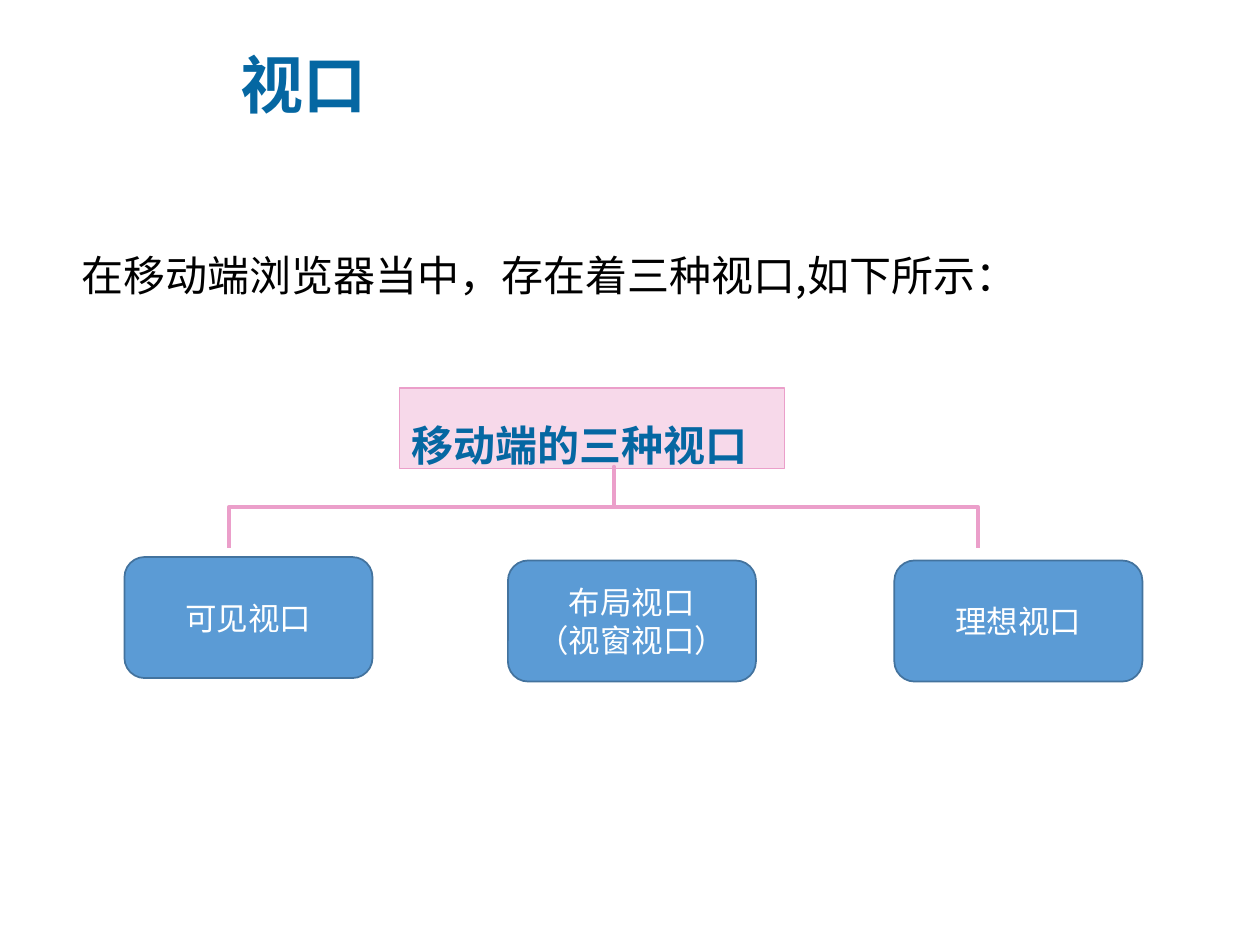
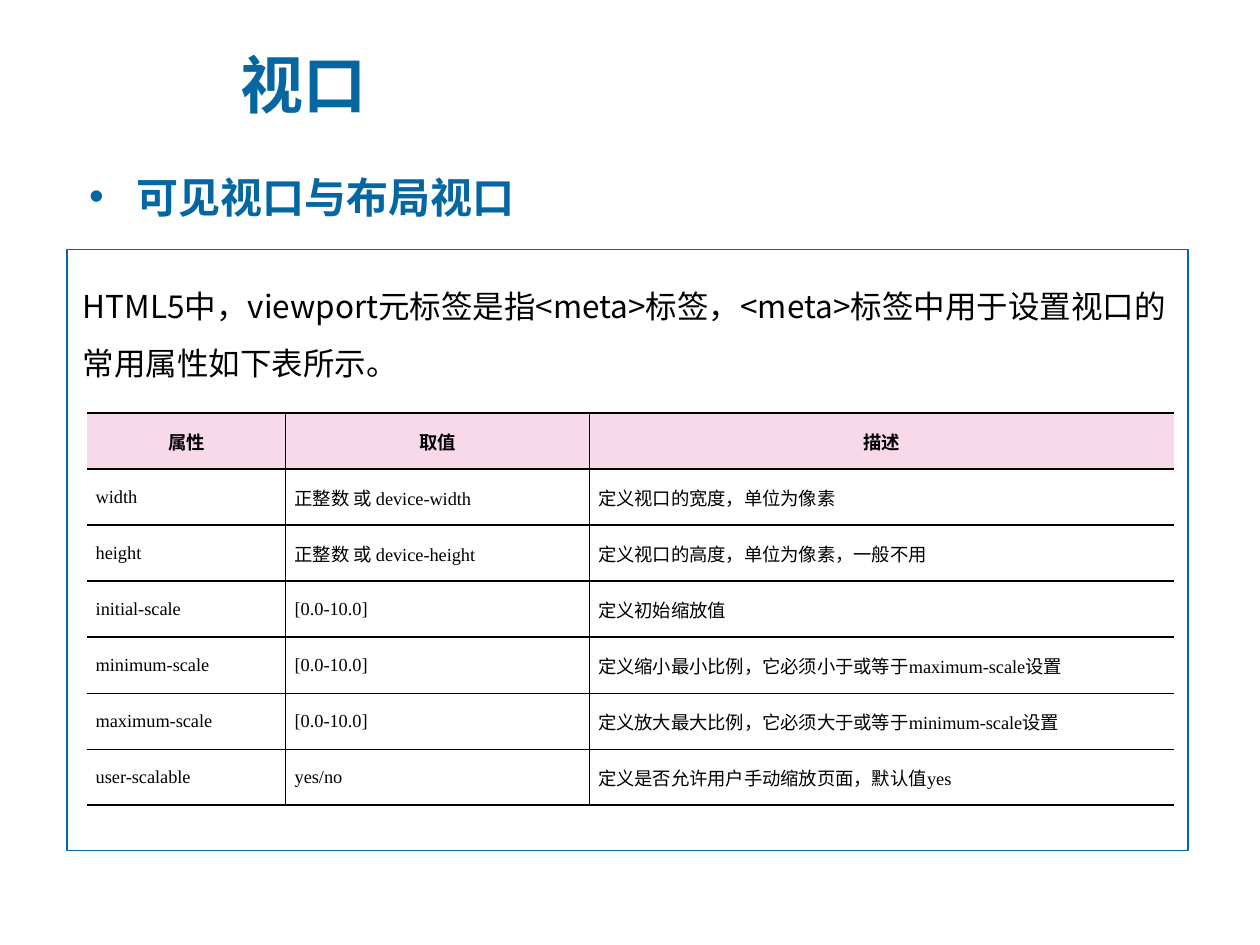
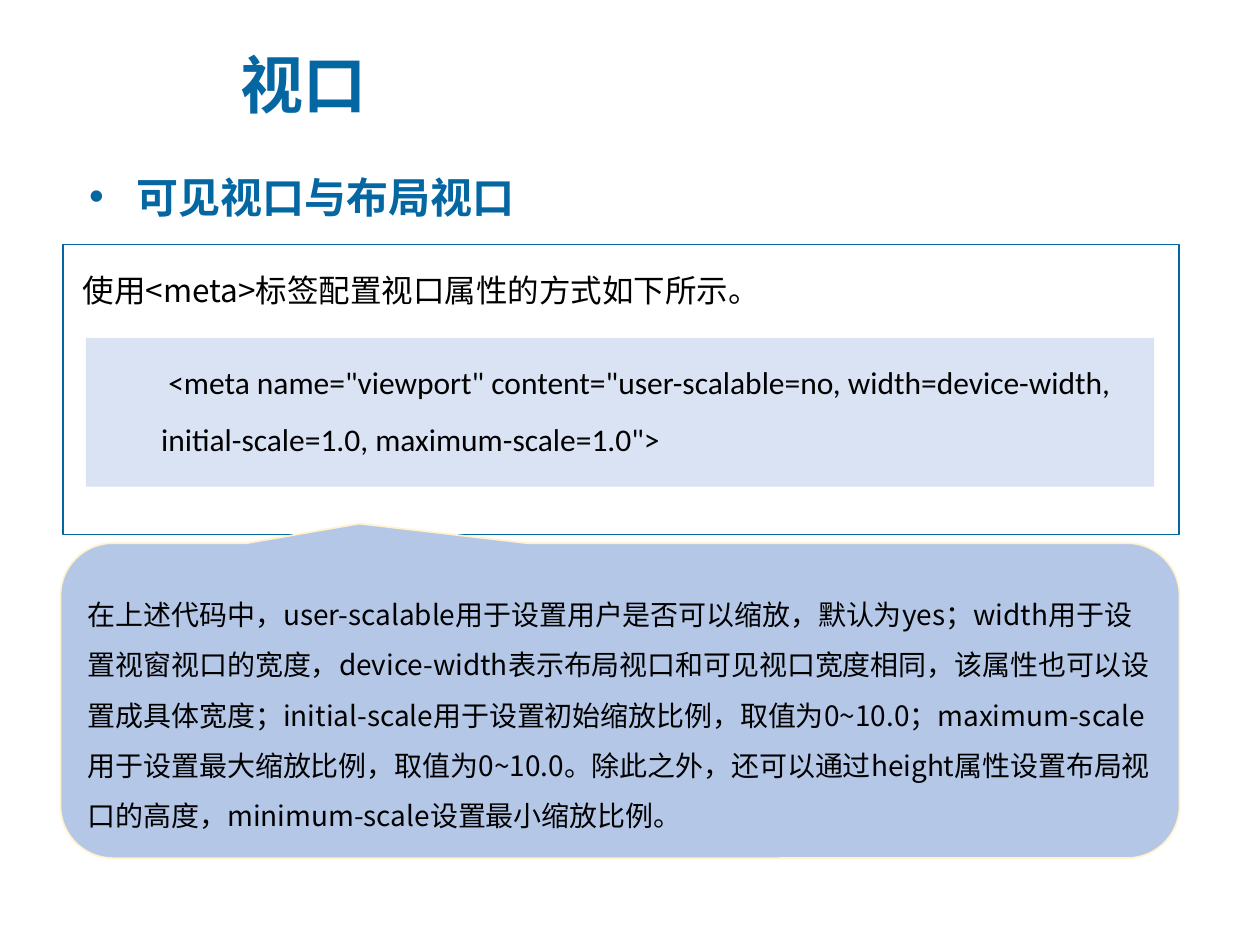
from lxml import etree
from pptx import Presentation
from pptx.dml.color import RGBColor as Rgb
from pptx.enum.shapes import MSO_SHAPE as Kind
from pptx.enum.text import MSO_ANCHOR as Anchor, PP_ALIGN as Align
from pptx.oxml import parse_xml
from pptx.oxml.ns import nsdecls, qn
from pptx.util import Cm, Pt

COLORS = {
    "blue": "0567A2", "pink": "F7D9EA", "rose": "EB9FCA", "black": "000000",
    "white": "FFFFFF", "node": "5B9BD5", "node_edge": "43739E",
    "code": "DAE3F3", "callout": "B4C7E7", "cream": "FFF2CC",
}
CJK = "Noto Sans CJK SC"
TITLE = {"name": CJK, "size": Pt(36), "bold": True}
HEADING = {"name": "Calibri", "size": Pt(24), "bold": True}
LEAD = {"name": CJK, "size": Pt(24)}
BODY = {"name": CJK, "size": Pt(18)}
NOTE = {"name": CJK, "size": Pt(16)}
LABEL = {"name": "Calibri", "size": Pt(18)}
CELL = {"name": "Times New Roman", "size": Pt(10.5)}


def add_box(page, place, kind=None, fill=None, line=None, width=0.75):
    """Add a text box, or a preset shape when a kind is given."""
    place = [Cm(length) for length in place]
    if kind is None:
        return page.shapes.add_textbox(*place)
    box = page.shapes.add_shape(kind, *place)
    box.shadow.inherit = False
    for part, color in ((box.fill, fill), (box.line.fill, line)):
        if color:
            part.solid()
            part.fore_color.rgb = Rgb.from_string(COLORS[color])
        else:
            part.background()
    if line:
        box.line.width = Pt(width)
    return box


def write(frame, lines, font, color="black", align=Align.LEFT, spacing=1.0, anchor=Anchor.TOP):
    """Fill a text frame with one paragraph per line."""
    frame.word_wrap = True
    frame.vertical_anchor = anchor
    for number, line in enumerate(lines):
        para = frame.add_paragraph() if number else frame.paragraphs[0]
        para.alignment = align
        para.line_spacing = spacing
        span = para.add_run()
        span.text = line
        for name, value in font.items():
            setattr(span.font, name, value)
        span.font.color.rgb = Rgb.from_string(COLORS[color])
        etree.SubElement(span.font._element, qn("a:ea"), typeface=CJK)


deck = Presentation()
deck.slide_width, deck.slide_height = Cm(25.4), Cm(19.05)

# Shared title, and the bulleted heading of the later pages
pages = []
for heading in (None, "可见视口与布局视口", "可见视口与布局视口"):
    page = deck.slides.add_slide(deck.slide_layouts[6])
    pages.append(page)
    box = add_box(page, (4.6, 0.69, 20.78, 2))
    write(box.text_frame, ["视口"], TITLE, "blue", anchor=Anchor.MIDDLE)
    if heading:
        box = add_box(page, (1.55, 2.82, 9.22, 1.8))
        write(box.text_frame, [heading], HEADING, "blue", spacing=1.5)
        props = box.text_frame.paragraphs[0]._p.get_or_add_pPr()
        props.set("marL", str(Cm(0.95)))
        props.set("indent", str(-Cm(0.95)))
        etree.SubElement(props, qn("a:buFont"), typeface="Arial")
        etree.SubElement(props, qn("a:buChar"), char="•")
tree_page, table_page, code_page = pages

# Page 1: the three viewports
box = add_box(tree_page, (1.4, 4.39, 19.48, 1.8))
write(box.text_frame, ["在移动端浏览器当中，存在着三种视口,如下所示："], LEAD, spacing=1.5)
root = add_box(tree_page, (8.05, 7.82, 7.77, 1.63), Kind.RECTANGLE, "pink", "rose")
write(root.text_frame, ["移动端的三种视口"], HEADING, "blue", spacing=1.5)

for left, top, lines in (
    (2.51, 11.23, ["可见视口"]),
    (10.24, 11.3, ["布局视口", "（视窗视口）"]),
    (18.03, 11.3, ["理想视口"]),
):
    node = add_box(tree_page, (left, top, 5, 2.44), Kind.ROUNDED_RECTANGLE,
                   "node", "node_edge", 1)
    write(node.text_frame, lines, LABEL, "white", Align.CENTER, anchor=Anchor.MIDDLE)

brace = add_box(tree_page, (11.35, 2.67, 1.63, 15.11), Kind.LEFT_BRACE, line="rose", width=2.25)
brace.rotation = 90
brace.adjustments[0], brace.adjustments[1] = 0, 0.486

# Frames behind the content of pages 2 and 3
for page, place in (
    (table_page, (1.35, 5.03, 22.6, 12.12)),
    (code_page, (1.27, 4.93, 22.5, 5.84)),
):
    panel = add_box(page, place, Kind.RECTANGLE, "white", "blue")
    tint = panel._element.spPr.find(qn("a:solidFill"))[0]
    etree.SubElement(tint, qn("a:alpha"), val="90000")

# Page 2: table of viewport attributes
box = add_box(table_page, (1.42, 5.28, 22.56, 2.57))
write(box.text_frame,
      ["HTML5中，viewport元标签是指<meta>标签，<meta>标签中用于设置视口的常用属性如下表所示。"],
      BODY, spacing=1.5)
rows = [
    ("属性", "取值", "描述"),
    ("width", "正整数 或 device-width", "定义视口的宽度，单位为像素"),
    ("height", "正整数 或 device-height", "定义视口的高度，单位为像素，一般不用"),
    ("initial-scale", "[0.0-10.0]", "定义初始缩放值"),
    ("minimum-scale", "[0.0-10.0]", "定义缩小最小比例，它必须小于或等于maximum-scale设置"),
    ("maximum-scale", "[0.0-10.0]", "定义放大最大比例，它必须大于或等于minimum-scale设置"),
    ("user-scalable", "yes/no", "定义是否允许用户手动缩放页面，默认值yes"),
]
widths = (4.01, 6.12, 11.79)
row_height = 1.13
last_row, last_column = len(rows) - 1, len(widths) - 1
table = table_page.shapes.add_table(
    len(rows), len(widths), Cm(1.75), Cm(8.33),
    Cm(sum(widths)), Cm(row_height * len(rows))).table
table.first_row = table.horz_banding = False
for column, width in zip(table.columns, widths):
    column.width = Cm(width)
margins = {"margin_left": Cm(0.18), "margin_right": Cm(0.18), "margin_top": 0, "margin_bottom": 0}

for r, row in enumerate(rows):
    table.rows[r].height = Cm(row_height)
    for c, words in enumerate(row):
        cell = table.cell(r, c)
        for name, value in margins.items():
            setattr(cell, name, value)
        cell.vertical_anchor = Anchor.MIDDLE
        write(cell.text_frame, [words], {**CELL, "bold": r == 0},
              align=Align.LEFT if r else Align.CENTER)
        # The outer sides stay open; the top and bottom rules are heavier
        borders = {
            "lnL": 1 if c else 0,
            "lnR": 1 if c < last_column else 0,
            "lnT": 1 if r else 1.5,
            "lnB": 1 if r < last_row else 1.5,
        }
        for tag, weight in borders.items():
            paint = (f'<a:solidFill><a:srgbClr val="{COLORS["black"]}"/></a:solidFill>'
                     if weight else "<a:noFill/>")
            cell._tc.get_or_add_tcPr().append(parse_xml(
                f'<a:{tag} {nsdecls("a")} w="{Pt(weight)}">{paint}</a:{tag}>'))
        if r == 0:
            cell.fill.solid()
            cell.fill.fore_color.rgb = Rgb.from_string(COLORS["pink"])
        else:
            cell.fill.background()

# Page 3: code sample and its explanation
box = add_box(code_page, (1.42, 4.95, 22.56, 1.42))
write(box.text_frame, ["使用<meta>标签配置视口属性的方式如下所示。"], BODY, spacing=1.5)
code = add_box(code_page, (1.73, 6.81, 21.54, 3), Kind.RECTANGLE, "code")
write(code.text_frame, [
    ' <meta name="viewport" content="user-scalable=no, width=device-width,',
    'initial-scale=1.0, maximum-scale=1.0">',
], LABEL, spacing=1.5)
for para in code.text_frame.paragraphs:
    para._p.get_or_add_pPr().set("marL", str(Cm(1.27)))

callout = add_box(code_page, (1.22, 10.95, 22.56, 6.35), Kind.ROUNDED_RECTANGULAR_CALLOUT,
                  "callout", "cream", 1)
for number, value in enumerate((-0.233, -0.562, 0.167)):
    callout.adjustments[number] = value
box = add_box(code_page, (1.52, 11.58, 21.97, 5.38))
write(box.text_frame, [
    "在上述代码中，user-scalable用于设置用户是否可以缩放，默认为yes；"
    "width用于设置视窗视口的宽度，device-width表示布局视口和可见视口宽度相同，"
    "该属性也可以设置成具体宽度；initial-scale用于设置初始缩放比例，取值为0~10.0；"
    "maximum-scale用于设置最大缩放比例，取值为0~10.0。除此之外，还可以通过"
    "height属性设置布局视口的高度，minimum-scale设置最小缩放比例。"
], NOTE, spacing=1.5)

deck.save("out.pptx")
